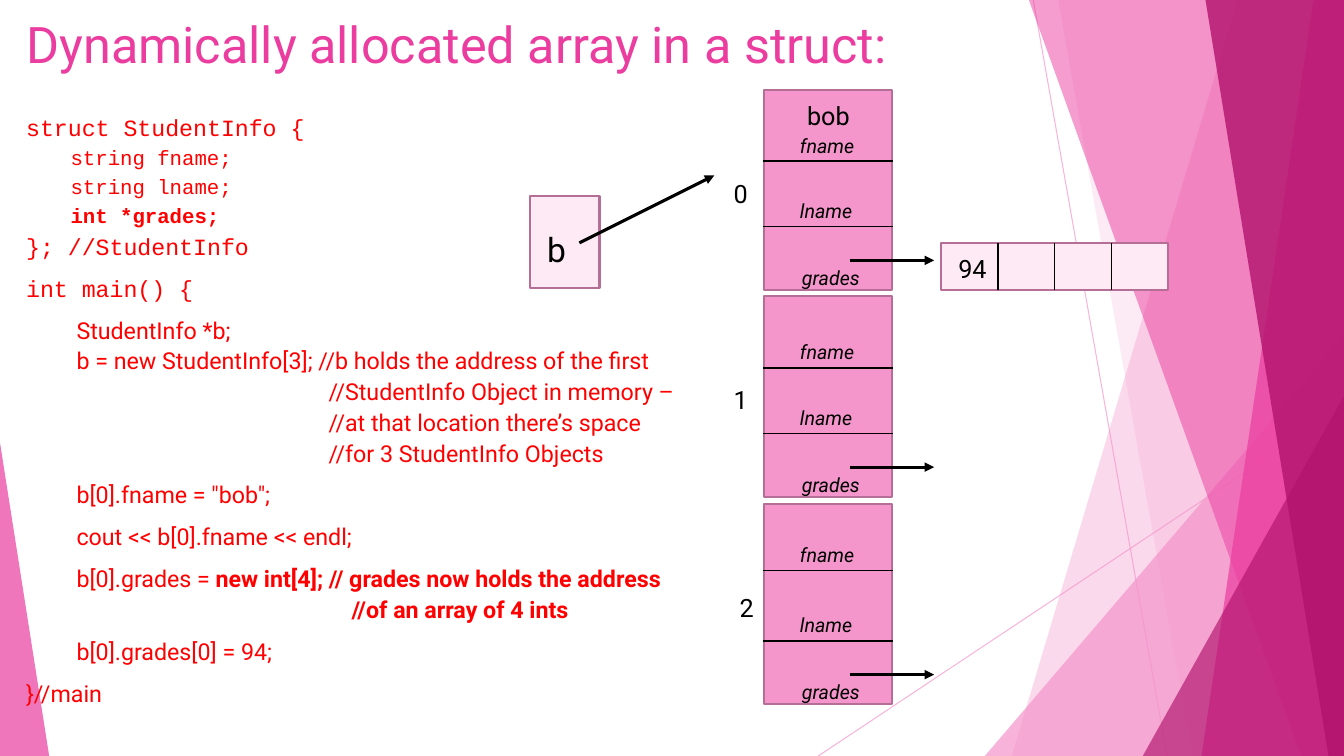
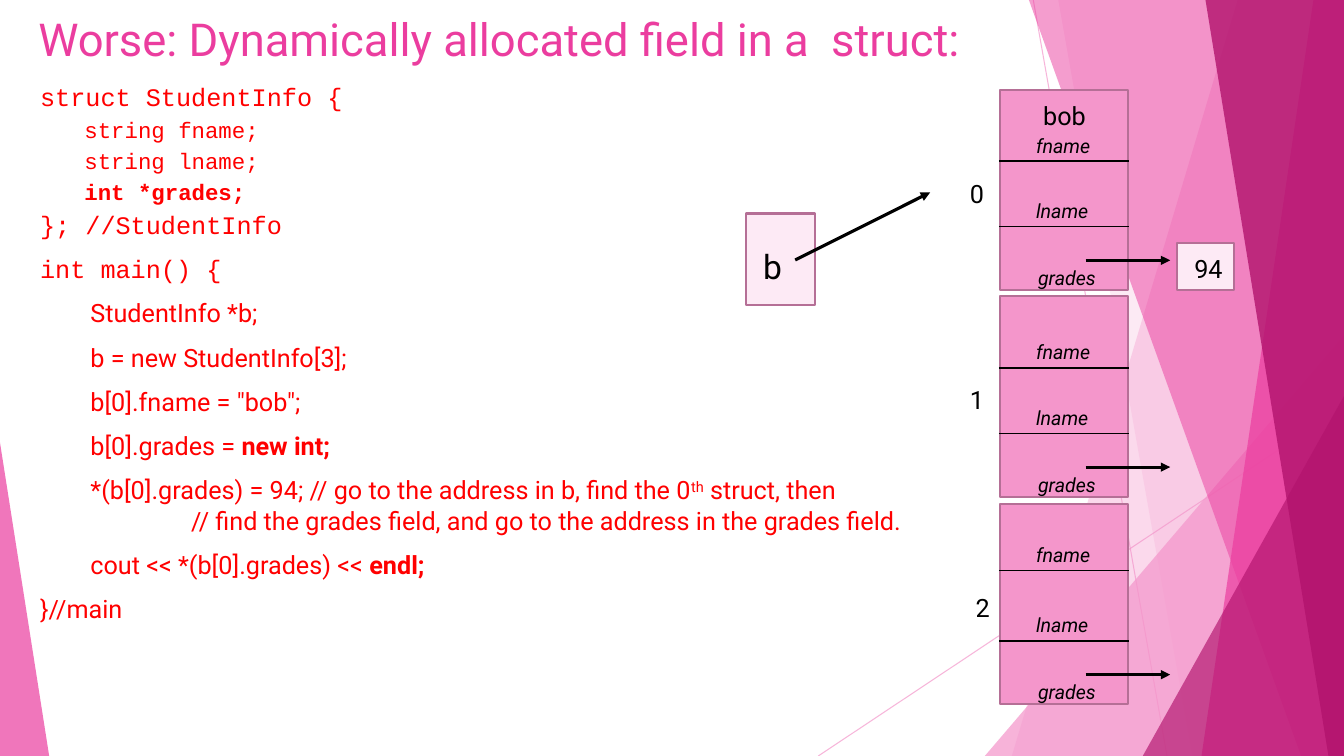
from dataclasses import dataclass

from lxml import etree
from pptx import Presentation
from pptx.dml.color import RGBColor
from pptx.enum.shapes import MSO_CONNECTOR, MSO_SHAPE
from pptx.enum.text import MSO_ANCHOR, MSO_AUTO_SIZE, PP_ALIGN
from pptx.oxml.ns import qn
from pptx.util import Cm, Pt

STRAIGHT = MSO_CONNECTOR.STRAIGHT
RECTANGLE = MSO_SHAPE.RECTANGLE
TRIANGLE = MSO_SHAPE.ISOSCELES_TRIANGLE
TOP = MSO_ANCHOR.TOP
LEFT = PP_ALIGN.LEFT
NO_AUTOFIT = MSO_AUTO_SIZE.NONE

PINK, MAGENTA, PLUM = "F496CB", "EB3D9F", "B2136D"
PALE, OUTLINE = "FDEAF5", "B56F96"
BLACK, RED = "000000", "FF0000"
SANS, MONO = "Roboto", "Courier New"

SLIDE_WIDTH, SLIDE_HEIGHT = 33.87, 19.05
TITLE_ONLY = 5

RECORD_WIDTH, RECORD_HEIGHT = 3.23, 5.05
SECOND_DIVIDER = 3.45
# top, first divider below the top, distance of the index to the left
RECORDS = [(2.26, 1.8, 1.01), (7.47, 1.8, 1.01), (12.7, 1.68, 0.86)]
CELL_WIDTH, CELL_HEIGHT = 1.43, 1.2

MEMBER, STATEMENT = 1.12, 1.27


@dataclass
class CodeLine:
    """One line of code: (text, style) pairs, indent in cm, gap above in points."""
    pieces: list
    indent: float = 0
    gap: float = 10
    font: str = SANS
    shrink: float = 1


def plain(text, indent=STATEMENT, gap=10):
    """Return a line of code without emphasis."""
    return CodeLine([(text, "")], indent, gap)


STRUCT_LINES = [
    CodeLine([("struct StudentInfo {", "")], 0, 3, MONO),
    CodeLine([("string fname;", "")], MEMBER, 3, MONO, 0.89),
    CodeLine([("string lname;", "")], MEMBER, 3, MONO, 0.89),
    CodeLine([("int *grades;", "bold")], MEMBER, 3, MONO, 0.89),
    CodeLine([("}; //StudentInfo", "")], 0, 3, MONO),
    CodeLine([("int main() {", "")], 0, 10, MONO),
    plain("StudentInfo *b;"),
]
END_OF_MAIN = plain("}//main", 0)

ARRAY_LINES = [
    plain("b = new StudentInfo[3]; //b holds the address of the first", gap=2),
    plain("//StudentInfo Object in memory –", 7.62, 2),
    plain("//at that location there’s space", 7.62, 2),
    plain("//for 3 StudentInfo Objects", 7.62, 2),
    plain('b[0].fname = "bob";'),
    plain("cout << b[0].fname << endl;"),
    CodeLine([("b[0].grades = ", ""),
              ("new int[4]; // grades now holds the address", "bold")], STATEMENT),
    CodeLine([("//of an array of 4 ints", "bold")], 8.2, 2),
    plain("b[0].grades[0] = 94;"),
]

FIELD_LINES = [
    plain("b = new StudentInfo[3];"),
    plain('b[0].fname = "bob";'),
    CodeLine([("b[0].grades = ", ""), ("new int;", "bold")], STATEMENT),
    CodeLine([("*(b[0].grades) = 94; // go to the address in b, find the 0", ""),
              ("th", "superscript"), (" struct, then", "")], STATEMENT),
    plain("// find the grades field, and go to the address in the grades field.",
          3.81, 0),
    CodeLine([("cout << *(b[0].grades) << ", ""), ("endl;", "bold")], STATEMENT),
]


def rgb(value):
    """Turn a hex string into a colour."""
    return RGBColor.from_string(value)


def set_alpha(fill_parent, percent):
    """Make the solid fill inside an element partly transparent."""
    colour = fill_parent.find(qn("a:solidFill"))[0]
    etree.SubElement(colour, qn("a:alpha")).set("val", str(percent * 1000))


def format_font(font, size, colour, name=SANS):
    """Set the name, size and colour of a font."""
    font.name, font.size = name, Pt(size)
    font.color.rgb = rgb(colour)


def add_line(slide, start, end, width=1, colour=BLACK, alpha=None, arrow=False):
    """Draw a straight line, with an arrowhead or transparency if asked."""
    line = slide.shapes.add_connector(
        STRAIGHT, *[Cm(value) for value in (*start, *end)])
    line.line.color.rgb = rgb(colour)
    line.line.width = Pt(width)
    properties = line.element.spPr
    outline = properties.find(qn("a:ln"))
    if alpha:
        set_alpha(outline, alpha)
    if arrow:
        etree.SubElement(outline, qn("a:tailEnd")).set("type", "triangle")
    etree.SubElement(properties, qn("a:effectLst"))
    return line


def finish_veil(shape, colour, alpha):
    """Give a backdrop shape its transparent fill and no outline."""
    shape.shadow.inherit = False
    shape.fill.solid()
    shape.fill.fore_color.rgb = rgb(colour)
    set_alpha(shape.element.spPr, alpha)
    shape.line.fill.background()
    return shape


def add_veil(slide, top_x, bottom_x, colour, alpha):
    """Draw a full-height band from a slanted left edge to the right edge."""
    builder = slide.shapes.build_freeform(Cm(top_x), 0)
    corners = [(SLIDE_WIDTH, 0), (SLIDE_WIDTH, SLIDE_HEIGHT), (bottom_x, SLIDE_HEIGHT)]
    builder.add_line_segments([(Cm(x), Cm(y)) for x, y in corners])
    return finish_veil(builder.convert_to_shape(), colour, alpha)


def add_wedge(slide, left, top, width, apex, colour, alpha):
    """Draw a right-angled triangle that stands on the bottom edge."""
    wedge = slide.shapes.add_shape(
        TRIANGLE, Cm(left), Cm(top), Cm(width), Cm(SLIDE_HEIGHT - top))
    wedge.adjustments[0] = apex
    return finish_veil(wedge, colour, alpha)


def move_backdrop_to_layout(slide):
    """Draw the backdrop and hand it to the layout that the slides share."""
    backdrop = [
        add_line(slide, (26.04, 0), (29.41, SLIDE_HEIGHT), 0.75, PINK, 70),
        add_line(slide, (SLIDE_WIDTH, 10.24), (20.62, SLIDE_HEIGHT), 0.75, PINK, 70),
        add_veil(slide, 31.19, 25.5, PINK, 36),
        add_veil(slide, 26.67, 30.05, PINK, 20),
        add_wedge(slide, 24.82, 8.46, 9.05, 1, PINK, 72),
        add_veil(slide, 25.93, 32.79, MAGENTA, 50),
        add_veil(slide, 33.1, 30.28, MAGENTA, 70),
        add_veil(slide, 30.38, 33.48, PLUM, 80),
        add_wedge(slide, 28.8, 9.98, 5.07, 1, PLUM, 66),
        add_wedge(slide, 0, 11.15, 1.24, 0, MAGENTA, 70),
    ]
    for shape in backdrop:
        slide.slide_layout.shapes.element.append(shape.element)


def set_title(slide, text, left, top, width, height, size):
    """Place and format the title placeholder."""
    title = slide.shapes.title
    title.left, title.top, title.width, title.height = [
        Cm(value) for value in (left, top, width, height)]
    frame = title.text_frame
    frame.text = text
    frame.auto_size = NO_AUTOFIT
    frame.vertical_anchor = TOP
    frame.paragraphs[0].alignment = LEFT
    format_font(frame.paragraphs[0].runs[0].font, size, MAGENTA)


def add_code(slide, lines, left, top, width, height, size):
    """Write lines of code into one text box."""
    box = slide.shapes.add_textbox(Cm(left), Cm(top), Cm(width), Cm(height))
    frame = box.text_frame
    frame.word_wrap = True
    for number, line in enumerate(lines):
        paragraph = frame.paragraphs[0] if number == 0 else frame.add_paragraph()
        paragraph.space_before = Pt(line.gap)
        paragraph._p.get_or_add_pPr().set("marL", str(Cm(line.indent)))
        for text, style in line.pieces:
            run = paragraph.add_run()
            run.text = text
            format_font(run.font, round(size * line.shrink, 1), RED, line.font)
            run.font.bold = style == "bold"
            if style == "superscript":
                run._r.get_or_add_rPr().set("baseline", "30000")


def add_label(slide, text, left, top, size=18, italic=False):
    """Write a short label."""
    box = slide.shapes.add_textbox(
        Cm(left), Cm(top), Cm(0.51 + len(text) * size * 0.02), Cm(size * 0.055))
    frame = box.text_frame
    frame.text = text
    frame.word_wrap = False
    font = frame.paragraphs[0].runs[0].font
    format_font(font, size, BLACK)
    font.italic = italic


def add_box(slide, left, top, width, height, colour):
    """Draw a memory box."""
    box = slide.shapes.add_shape(RECTANGLE, Cm(left), Cm(top), Cm(width), Cm(height))
    box.shadow.inherit = False
    box.fill.solid()
    box.fill.fore_color.rgb = rgb(colour)
    box.line.color.rgb = rgb(OUTLINE)
    box.line.width = Pt(1.5)


def add_record(slide, index, left, top, first_divider, index_gap):
    """Draw one StudentInfo record with its fields, index and grades pointer."""
    add_box(slide, left, top, RECORD_WIDTH, RECORD_HEIGHT, PINK)
    for field, divider in (("fname", first_divider), ("lname", SECOND_DIVIDER)):
        y = top + divider
        add_line(slide, (left - 0.03, y), (left + RECORD_WIDTH + 0.02, y))
        add_label(slide, field, left + 0.66, y - 0.82, 14, True)
    add_label(slide, "grades", left + 0.71, top + 4.32, 14, True)
    add_label(slide, str(index), left - index_gap, top + 2.1)
    add_line(slide, (left + 2.16, top + 4.3), (left + 4.29, top + 4.3), 2.25, arrow=True)


def add_memory(slide, left, pointer_left, pointer_top, cells):
    """Draw pointer b, the three records and the memory behind grades."""
    add_box(slide, pointer_left, pointer_top, 1.75, 2.31, PALE)
    add_label(slide, "b", pointer_left + 0.18, pointer_top + 0.7, 24)
    start_x, start_y = pointer_left + 1.24, pointer_top + 1.17
    add_line(slide, (start_x, start_y), (start_x + 3.4, start_y - 1.7), 2.25, arrow=True)

    for index, (top, first_divider, index_gap) in enumerate(RECORDS):
        add_record(slide, index, left, top, first_divider, index_gap)
    add_label(slide, "bob", left + 0.84, RECORDS[0][0] + 0.15)

    cells_left, cells_top = left + 4.47, 6.12
    add_box(slide, cells_left, cells_top, cells * CELL_WIDTH, CELL_HEIGHT, PALE)
    for number in range(1, cells):
        x = cells_left + number * CELL_WIDTH
        add_line(slide, (x, cells_top), (x, cells_top + CELL_HEIGHT))
    add_label(slide, "94", cells_left + 0.18, cells_top + 0.13)


def main():
    """Build the two slides and save them."""
    presentation = Presentation()
    presentation.slide_width = Cm(SLIDE_WIDTH)
    presentation.slide_height = Cm(SLIDE_HEIGHT)
    layout = presentation.slide_layouts[TITLE_ONLY]

    slide = presentation.slides.add_slide(layout)
    move_backdrop_to_layout(slide)
    set_title(slide, "Dynamically allocated array in a struct:", 0.41, 0.2, 23.88, 1.9, 36)
    add_code(slide, STRUCT_LINES + ARRAY_LINES + [END_OF_MAIN],
             0.41, 2.72, 18.03, 13.89, 16.6)
    add_memory(slide, 19.25, 13.36, 4.95, 4)

    slide = presentation.slides.add_slide(layout)
    set_title(slide, "Worse: Dynamically allocated field in a  struct:",
              0.71, 0.15, 26.19, 2.24, 32.4)
    add_code(slide, STRUCT_LINES + FIELD_LINES + [END_OF_MAIN],
             0.76, 1.93, 23.42, 15.42, 18)
    add_memory(slide, 25.2, 18.8, 5.38, 1)

    presentation.save("out.pptx")


main()
